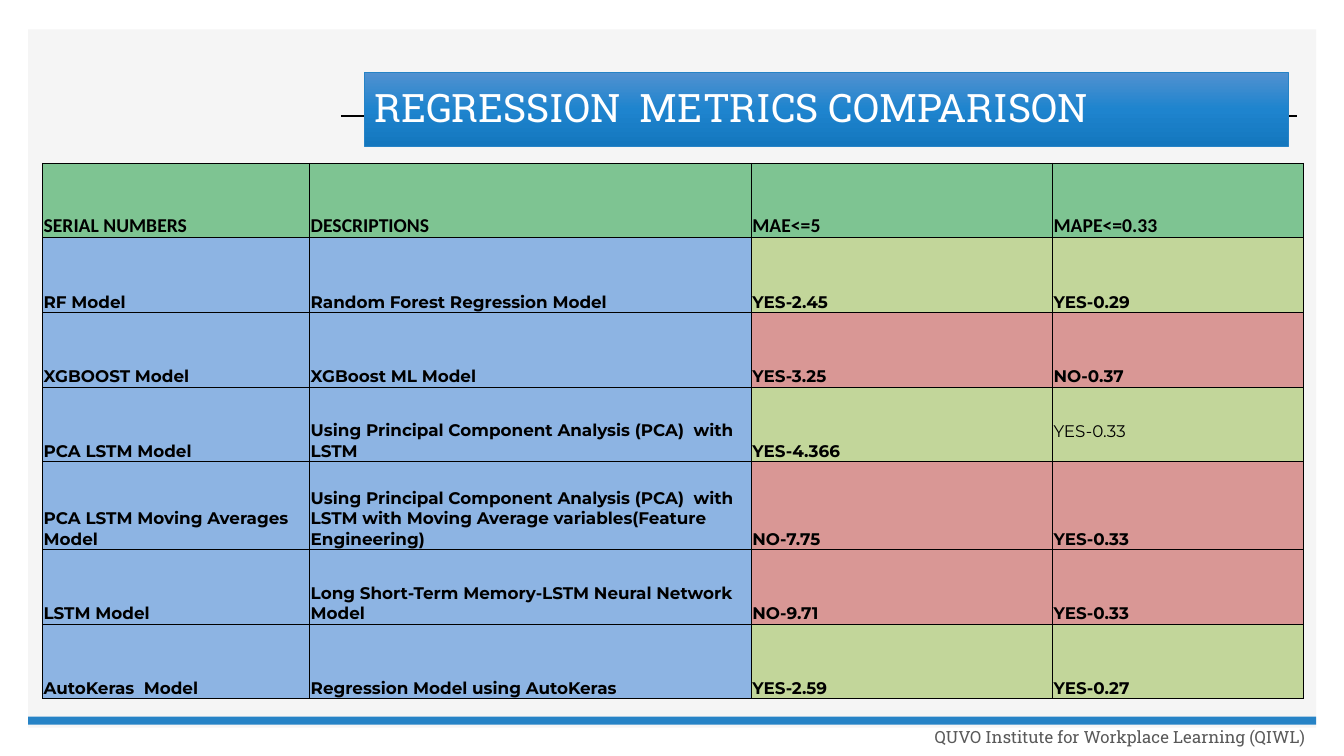
from dataclasses import dataclass

from lxml import etree
from pptx import Presentation
from pptx.dml.color import RGBColor
from pptx.enum.shapes import MSO_CONNECTOR, MSO_SHAPE
from pptx.enum.text import MSO_ANCHOR, PP_ALIGN
from pptx.oxml.ns import qn
from pptx.util import Cm, Pt

RECT = MSO_SHAPE.RECTANGLE
LINE = MSO_CONNECTOR.STRAIGHT
MIDDLE, BOTTOM = MSO_ANCHOR.MIDDLE, MSO_ANCHOR.BOTTOM
LEFT, RIGHT = PP_ALIGN.LEFT, PP_ALIGN.RIGHT

HEX = {
    "panel": "F5F5F5", "blue": "2683C6", "black": "000000", "white": "FFFFFF",
    "gray": "595959", "head": "7EC492", "name": "8DB4E3", "good": "C2D69A",
    "bad": "D99795", "top": "5191D0", "mid": "1E84CE", "low": "1477BE",
}
SLAB = "Roboto Slab"
COLS = (6.73, 11.13, 7.59, 6.32)
ROWS = (1.88, 1.88, 1.88, 1.88, 2.21, 1.88, 1.88)
HEADS = ("SERIAL NUMBERS", "DESCRIPTIONS", "MAE<=5", "MAPE<=0.33")


@dataclass
class Box:
    left: float
    top: float
    width: float
    height: float

    def place(self) -> tuple:
        return Cm(self.left), Cm(self.top), Cm(self.width), Cm(self.height)


@dataclass
class Model:
    name: str
    about: str
    mae: str
    mape: str
    grade: str
    raised: bool = False


MODELS = (
    Model("RF Model", "Random Forest Regression Model", "YES-2.45", "YES-0.29", "good"),
    Model("XGBOOST Model", "XGBoost ML Model", "YES-3.25", "NO-0.37", "bad"),
    Model("PCA LSTM Model", "Using Principal Component Analysis (PCA)  with LSTM",
          "YES-4.366", "YES-0.33", "good", raised=True),
    Model("PCA LSTM Moving Averages Model",
          "Using Principal Component Analysis (PCA)  with LSTM with "
          "Moving Average variables(Feature Engineering)",
          "NO-7.75", "YES-0.33", "bad"),
    Model("LSTM Model", "Long Short-Term Memory-LSTM Neural Network Model",
          "NO-9.71", "YES-0.33", "bad"),
    Model("AutoKeras  Model", "Regression Model using AutoKeras",
          "YES-2.59", "YES-0.27", "good"),
)


def color(key: str) -> RGBColor:
    return RGBColor.from_string(HEX[key])


def write(frame, text: str, *, size: float, font: str, ink: str = "black",
          bold: bool = False, align=LEFT, lead: float = 1) -> None:
    para = frame.paragraphs[0]
    para.alignment = align
    para.line_spacing = lead
    run = para.add_run()
    run.text = text
    run.font.size = Pt(size)
    run.font.name = font
    run.font.bold = bold
    run.font.color.rgb = color(ink)


def block(slide, box: Box, fill: str):
    shape = slide.shapes.add_shape(RECT, *box.place())
    shape.shadow.inherit = False
    shape.fill.solid()
    shape.fill.fore_color.rgb = color(fill)
    shape.line.fill.background()
    return shape


def rule(slide, left: float, right: float, top: float) -> None:
    line = slide.shapes.add_connector(LINE, Cm(left), Cm(top), Cm(right), Cm(top))
    line.line.color.rgb = color("black")
    line.line.width = Pt(1)
    etree.SubElement(line.element.spPr, qn("a:effectLst"))


def shade(shape, keys: tuple) -> None:
    shape.fill.gradient()
    shape.fill.gradient_angle = 270
    stops = shape.element.spPr.find(qn("a:gradFill")).find(qn("a:gsLst"))
    for stop in list(stops):
        stops.remove(stop)
    for i, key in enumerate(keys):
        stop = etree.SubElement(stops, qn("a:gs"), pos=str(i * 100000 // (len(keys) - 1)))
        etree.SubElement(stop, qn("a:srgbClr"), val=HEX[key])


def title(slide, box: Box, text: str) -> None:
    shape = block(slide, box, "mid")
    shade(shape, ("top", "mid", "low"))
    shape.line.color.rgb = color("blue")
    shape.line.width = Pt(0.5)
    frame = shape.text_frame
    frame.word_wrap = True
    frame.vertical_anchor = MIDDLE
    write(frame, text, size=28, font=SLAB, ink="white", lead=0.9)


def footer(slide, box: Box, text: str) -> None:
    frame = slide.shapes.add_textbox(*box.place()).text_frame
    frame.word_wrap = True
    frame.vertical_anchor = MIDDLE
    write(frame, text, size=12, font=SLAB, ink="gray", align=RIGHT, lead=0.9)


def border(cell) -> None:
    props = cell._tc.get_or_add_tcPr()
    for i, side in enumerate(("lnL", "lnR", "lnT", "lnB")):
        edge = etree.Element(qn(f"a:{side}"), w=str(Pt(0.5)))
        fill = etree.SubElement(edge, qn("a:solidFill"))
        etree.SubElement(fill, qn("a:srgbClr"), val=HEX["black"])
        props.insert(i, edge)


def fill_cell(cell, text: str, fill: str, *, base: float = 0, **form) -> None:
    cell.margin_left = cell.margin_right = cell.margin_top = Cm(0.03)
    cell.margin_bottom = Cm(base)
    cell.vertical_anchor = BOTTOM
    cell.fill.solid()
    cell.fill.fore_color.rgb = color(fill)
    border(cell)
    write(cell.text_frame, text, **form)


def metrics(slide, left: float, top: float) -> None:
    box = Box(left, top, sum(COLS), sum(ROWS))
    table = slide.shapes.add_table(len(ROWS), len(COLS), *box.place()).table
    table.first_row = table.horz_banding = False
    for col, width in zip(table.columns, COLS):
        col.width = Cm(width)
    for row, height in zip(table.rows, ROWS):
        row.height = Cm(height)
    for c, text in enumerate(HEADS):
        fill_cell(table.cell(0, c), text, "head", size=14, font="Calibri", bold=True)
    for r, model in enumerate(MODELS, 1):
        for c, text in enumerate((model.name, model.about, model.mae, model.mape)):
            lift = model.raised and c == 3
            fill_cell(table.cell(r, c), text, "name" if c < 2 else model.grade,
                      base=0.51 if lift else 0, size=12, font="Montserrat",
                      bold=not lift)


def main() -> None:
    deck = Presentation()
    deck.slide_width, deck.slide_height = Cm(33.87), Cm(19.05)
    slide = deck.slides.add_slide(deck.slide_layouts[6])
    block(slide, Box(0.71, 0.74, 32.46, 17.6), "panel")
    rule(slide, 8.59, 32.69, 2.92)
    block(slide, Box(0.71, 18.06, 32.46, 0.2), "blue")
    footer(slide, Box(22.1, 17.98, 11.05, 1.22),
           "QUVO Institute for Workplace Learning (QIWL)")
    title(slide, Box(9.19, 1.83, 23.29, 1.85), "REGRESSION  METRICS COMPARISON")
    metrics(slide, 1.07, 4.11)
    deck.save("out.pptx")


if __name__ == "__main__":
    main()
